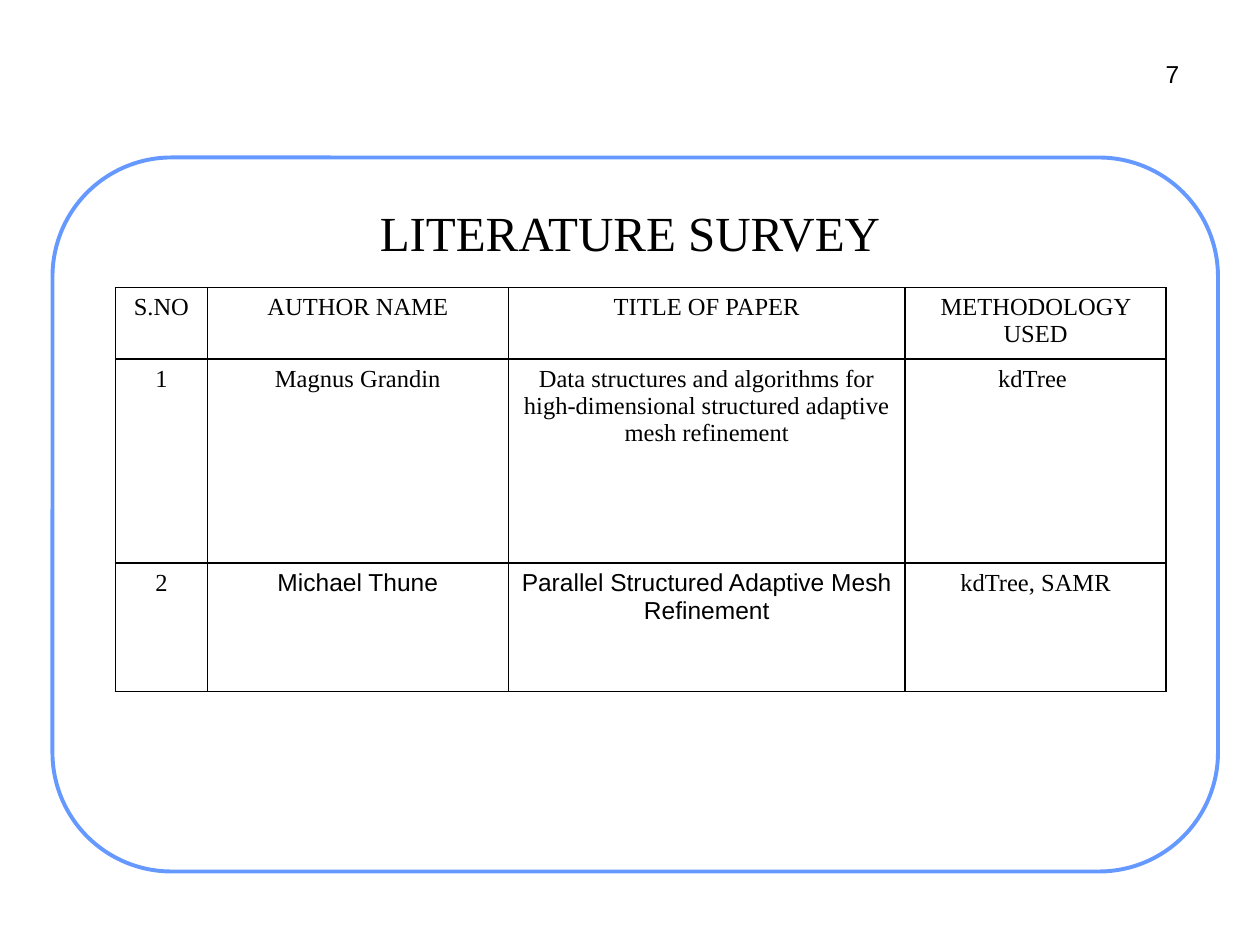
from dataclasses import dataclass
from lxml.etree import SubElement as Sub
from pptx import Presentation
from pptx.dml.color import RGBColor as RGB
from pptx.enum.shapes import MSO_SHAPE as Shape
from pptx.enum.text import MSO_ANCHOR as Anchor, PP_ALIGN as Align
from pptx.oxml.ns import qn
from pptx.util import Pt


@dataclass
class Theme:
    ink: RGB = RGB(0, 0, 0)
    paper: RGB = RGB(255, 255, 255)
    frame: RGB = RGB(0x66, 0x99, 0xFF)
    serif: str = "Times New Roman"
    sans: str = "Arial"
    title: int = 28
    body: int = 14


theme = Theme()


def style(para, size, face, align):
    para.alignment = align
    for run in para.runs:
        run.font.size = Pt(size)
        run.font.name = face
        run.font.color.rgb = theme.ink


def border(cell):
    props = cell._tc.get_or_add_tcPr()
    for i, side in enumerate(("lnL", "lnR", "lnT", "lnB")):
        line = props.makeelement(qn(f"a:{side}"), {"w": str(Pt(1))})
        fill = Sub(line, qn("a:solidFill"))
        Sub(fill, qn("a:srgbClr"), val=str(theme.ink))
        props.insert(i, line)


deck = Presentation()
deck.slide_width, deck.slide_height = Pt(720), Pt(540)
slide = deck.slides.add_slide(deck.slide_layouts[6])
shapes = slide.shapes

frame = shapes.add_shape(Shape.ROUNDED_RECTANGLE, Pt(30), Pt(90), Pt(666), Pt(408))
frame.shadow.inherit = False
frame.fill.solid()
frame.fill.fore_color.rgb = theme.paper
frame.line.color.rgb = theme.frame
frame.line.width = Pt(2.25)

labels = [
    ("7", (661.5, 30, 16, 23), theme.body, theme.sans, Align.RIGHT, Anchor.TOP, False),
    ("LITERATURE SURVEY", (90, 101, 540, 63), theme.title, theme.serif,
     Align.CENTER, Anchor.MIDDLE, True),
]
for text, place, size, face, align, anchor, wrap in labels:
    box = shapes.add_textbox(*map(Pt, place))
    body = box.text_frame
    body.margin_left = body.margin_right = Pt(3.6)
    body.margin_top = body.margin_bottom = Pt(3.6)
    body.word_wrap = wrap
    body.vertical_anchor = anchor
    body.text = text
    style(body.paragraphs[0], size, face, align)

rows = [
    ("S.NO", "AUTHOR NAME", "TITLE OF PAPER", "METHODOLOGY USED"),
    ("1", "Magnus Grandin",
     "Data structures and algorithms for high-dimensional structured adaptive mesh refinement",
     "kdTree "),
    ("2", "Michael Thune", "Parallel Structured Adaptive Mesh Refinement", "kdTree, SAMR"),
]
widths = (52.5, 172, 226.8, 149)
heights = (32, 116.6, 73.5)
sans = {(2, 1), (2, 2)}

holder = shapes.add_table(len(rows), len(widths), Pt(66), Pt(164.3),
                          Pt(sum(widths)), Pt(sum(heights)))
table = holder.table
table.first_row = table.horz_banding = False
for col, width in zip(table.columns, widths):
    col.width = Pt(width)
for r, (row, height) in enumerate(zip(rows, heights)):
    table.rows[r].height = Pt(height)
    for c, text in enumerate(row):
        cell = table.cell(r, c)
        cell.fill.background()
        border(cell)
        cell.text_frame.text = text
        face = theme.sans if (r, c) in sans else theme.serif
        style(cell.text_frame.paragraphs[0], theme.body, face, Align.CENTER)

deck.save("out.pptx")
